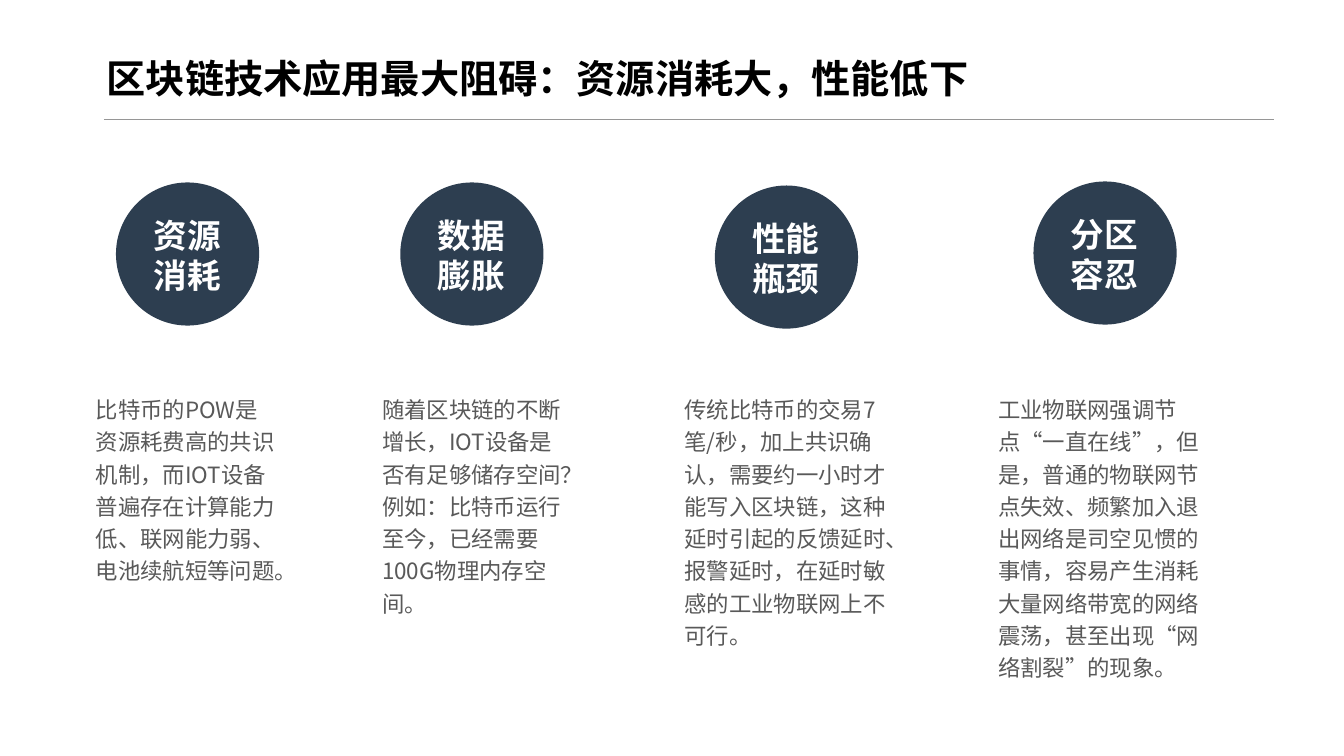
from lxml import etree
from pptx import Presentation
from pptx import util as u
from pptx.dml.color import RGBColor
from pptx.enum import shapes, text
from pptx.oxml import ns

FONT = "Noto Sans CJK SC"
CIRCLE_SIZE = 1.42
LABEL_SHIFT = (0.26, 0.32)
LABEL_SIZE = (0.89, 0.81)
BODY_TOP = 3.83

TITLE = "区块链技术应用最大阻碍：资源消耗大，性能低下"
OBSTACLES = [
    ("资源消耗", (1.15, 1.81), (0.9, 1.91, 2.03),
     "比特币的POW是资源耗费高的共识机制，而IOT设备普遍存在计算能力低、联网能力弱、电池续航短等问题。"),
    ("数据膨胀", (3.97, 1.81), (3.74, 1.88, 2.36),
     "随着区块链的不断增长，IOT设备是否有足够储存空间？例如：比特币运行至今，已经需要100G物理内存空间。"),
    ("性能瓶颈", (7.09, 1.84), (6.74, 2.11, 2.68),
     "传统比特币的交易7笔/秒，加上共识确认，需要约一小时才能写入区块链，"
     "这种延时引起的反馈延时、报警延时，在延时敏感的工业物联网上不可行。"),
    ("分区容忍", (10.25, 1.8), (9.85, 2.26, 3),
     "工业物联网强调节点“一直在线”，但是，普通的物联网节点失效、频繁加入退出网络是司空见惯的事情，"
     "容易产生消耗大量网络带宽的网络震荡，甚至出现“网络割裂”的现象。"),
]

TITLE_STYLE = {"size": u.Pt(28), "bold": True}
LABEL_STYLE = {"size": u.Pt(24), "bold": True}
BODY_STYLE = {"size": u.Pt(16), "bold": False}


def color(hex_text):
    return RGBColor.from_string(hex_text)


def set_values(target, values):
    for name, value in values.items():
        setattr(target, name, value)


def write_text(box, content, style, hex_text, inset=0, **para_values):
    frame = box.text_frame
    margin = u.Inches(inset)
    set_values(frame, {
        "word_wrap": True, "auto_size": text.MSO_AUTO_SIZE.NONE,
        "vertical_anchor": text.MSO_ANCHOR.TOP,
        "margin_left": margin, "margin_right": margin,
        "margin_top": margin, "margin_bottom": margin,
    })
    para = frame.paragraphs[0]
    set_values(para, {"alignment": text.PP_ALIGN.LEFT, **para_values})
    span = para.add_run()
    span.text = content
    set_values(span.font, {"name": FONT, **style})
    span.font.color.rgb = color(hex_text)
    east_asian = etree.SubElement(span._r.get_or_add_rPr(), ns.qn("a:ea"))
    east_asian.set("typeface", FONT)


def add_text(page, place, content, style, hex_text, **options):
    box = page.shapes.add_textbox(*map(u.Inches, place))
    write_text(box, content, style, hex_text, **options)


def add_title(page):
    title = page.shapes.title
    names = ("left", "top", "width", "height")
    set_values(title, dict(zip(names, map(u.Inches, (1.06, 0.62, 10.34, 0.39)))))
    write_text(title, TITLE, TITLE_STYLE, "000000", line_spacing=u.Pt(28))


def add_rule(page):
    ends = map(u.Inches, (1.03, 1.18, 12.64, 1.18))
    rule = page.shapes.add_connector(shapes.MSO_CONNECTOR.STRAIGHT, *ends)
    rule.line.color.rgb = color("969696")
    rule.line.width = u.Pt(0.5)
    etree.SubElement(rule._element.spPr, ns.qn("a:effectLst"))


def add_circle(page, left, top, label):
    place = map(u.Inches, (left, top, CIRCLE_SIZE, CIRCLE_SIZE))
    circle = page.shapes.add_shape(shapes.MSO_SHAPE.OVAL, *place)
    circle.shadow.inherit = False
    circle.fill.solid()
    circle.fill.fore_color.rgb = color("2D3E50")
    circle.line.fill.background()
    shift_x, shift_y = LABEL_SHIFT
    add_text(page, (left + shift_x, top + shift_y, *LABEL_SIZE), label,
             LABEL_STYLE, "FFFFFF", alignment=text.PP_ALIGN.CENTER)


def main():
    deck = Presentation()
    deck.slide_width, deck.slide_height = u.Inches(13.33), u.Inches(7.5)
    page = deck.slides.add_slide(deck.slide_layouts[5])
    add_title(page)
    add_rule(page)
    for label, corner, (left, width, height), body in OBSTACLES:
        add_circle(page, *corner, label)
        add_text(page, (left, BODY_TOP, width, height), body, BODY_STYLE,
                 "595959", inset=0.05, line_spacing=1.2)
    deck.save("out.pptx")


if __name__ == "__main__":
    main()
